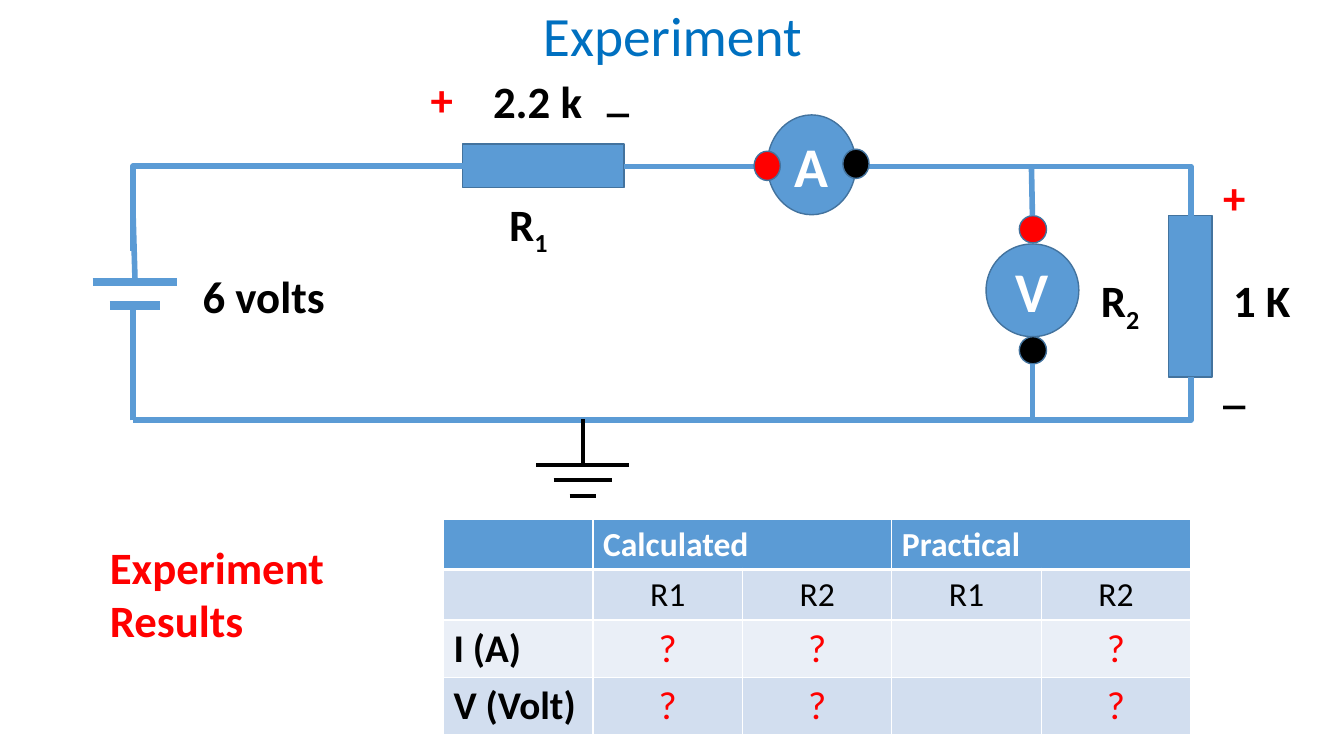
from lxml import etree
from pptx import Presentation
from pptx.dml.color import RGBColor
from pptx.enum.shapes import MSO_CONNECTOR, MSO_SHAPE
from pptx.enum.text import MSO_ANCHOR, PP_ALIGN
from pptx.oxml.ns import qn
from pptx.util import Inches, Pt

STRAIGHT, ELBOW = MSO_CONNECTOR.STRAIGHT, MSO_CONNECTOR.ELBOW
RECT, OVAL = MSO_SHAPE.RECTANGLE, MSO_SHAPE.OVAL
LEFT, CENTER = PP_ALIGN.LEFT, PP_ALIGN.CENTER
MIDDLE = MSO_ANCHOR.MIDDLE
BLUE, EDGE, RED, BLACK, WHITE = "5B9BD5", "43739E", "FF0000", "000000", "FFFFFF"
DARK, LIGHT = "D2DEEF", "EAEFF7"


def rgb(color):
    """Turn a hex string into a colour."""
    return RGBColor.from_string(color)


def style(para, size, color, bold=True, align=LEFT):
    """Set the font and alignment of a paragraph."""
    para.alignment = align
    font = para.font
    font.name, font.size, font.bold = "Calibri", Pt(size), bold
    font.color.rgb = rgb(color)


def label(slide, text, x, y, w, color=BLACK, sub=""):
    """Add a bold label, with an optional subscript."""
    lines = text.split("\n")
    box = slide.shapes.add_textbox(Inches(x), Inches(y), Inches(w),
                                   Inches(0.54 * len(lines)))
    frame = box.text_frame
    frame.word_wrap = True
    frame.margin_left = frame.margin_right = 0
    frame.margin_top = frame.margin_bottom = 0
    frame.text = text
    for para in frame.paragraphs:
        style(para, 32, color)
    if sub:
        run = frame.paragraphs[0].add_run()
        run.text = sub
        run._r.get_or_add_rPr().set("baseline", "-25000")


def title(slide, text):
    """Add the centred slide title."""
    box = slide.shapes.add_textbox(Inches(0.92), Inches(0.04),
                                   Inches(11.5), Inches(0.69))
    frame = box.text_frame
    frame.word_wrap = True
    frame.vertical_anchor = MIDDLE
    frame.text = text
    style(frame.paragraphs[0], 39.6, "0070C0", False, CENTER)
    frame.paragraphs[0].line_spacing = 0.9


def part(slide, kind, x, y, w, h, fill=BLUE, text=""):
    """Add a circuit part, with an optional letter."""
    shape = slide.shapes.add_shape(kind, Inches(x), Inches(y),
                                   Inches(w), Inches(h))
    shape.shadow.inherit = False
    shape.fill.solid()
    shape.fill.fore_color.rgb = rgb(fill)
    shape.line.color.rgb = rgb(EDGE)
    shape.line.width = Pt(1)
    if text:
        frame = shape.text_frame
        frame.text = text
        frame.vertical_anchor = MIDDLE
        style(frame.paragraphs[0], 40, WHITE, align=CENTER)


def wire(slide, x1, y1, x2, y2, width=4, color=BLUE, kind=STRAIGHT):
    """Add a wire; an elbow runs across first, then up or down."""
    line = slide.shapes.add_connector(kind, Inches(x1), Inches(y1),
                                      Inches(x2), Inches(y2))
    line.line.color.rgb = rgb(color)
    line.line.width = Pt(width)
    props = line._element.spPr
    etree.SubElement(props, qn("a:effectLst"))
    if kind == ELBOW:
        props.find(qn("a:prstGeom")).set("prst", "bentConnector2")


def border(cell, row):
    """Give a cell white borders, thick below the header row."""
    props = cell._tc.get_or_add_tcPr()
    thick = {0: "lnB", 1: "lnT"}.get(row)
    for side in ("lnL", "lnR", "lnT", "lnB"):
        width = Pt(3 if side == thick else 1)
        edge = etree.SubElement(props, qn("a:" + side), w=str(int(width)))
        fill = etree.SubElement(edge, qn("a:solidFill"))
        etree.SubElement(fill, qn("a:srgbClr"), val=WHITE)


def results(slide):
    """Add the table of results."""
    rows = [["", "Calculated", "", "Practical", ""],
            ["", "R1", "R2", "R1", "R2"],
            ["I (A)", "?", "?", "", "?"],
            ["V (Volt)", "?", "?", "", "?"]]
    highs = [0.5, 0.5, 0.57, 0.57]
    fills = [BLUE, DARK, LIGHT, DARK]
    table = slide.shapes.add_table(4, 5, Inches(4.4), Inches(5.15),
                                   Inches(7.41), Inches(sum(highs))).table
    for r, texts in enumerate(rows):
        table.rows[r].height = Inches(highs[r])
        for c, text in enumerate(texts):
            cell = table.cell(r, c)
            border(cell, r)
            cell.fill.solid()
            cell.fill.fore_color.rgb = rgb(fills[r])
            if not text:
                continue
            cell.text = text
            para = cell.text_frame.paragraphs[0]
            if r == 0:
                style(para, 24, WHITE)
            elif c == 0:
                style(para, 28, BLACK)
            elif r == 1:
                style(para, 24, BLACK, False, CENTER)
            else:
                style(para, 28, RED, False, CENTER)
    for c in (1, 3):
        table.cell(0, c).merge(table.cell(0, c + 1))


def circuit(slide):
    """Draw the wires, resistors, battery, ground and meters."""
    top, base, left, right = 1.65, 4.17, 1.32, 11.81
    part(slide, RECT, 4.59, 1.43, 1.6, 0.43)
    part(slide, RECT, 11.59, 2.14, 0.43, 1.6)
    wire(slide, 6.19, top, right, 2.14, kind=ELBOW)
    wire(slide, left, base, right, 3.74, kind=ELBOW)
    wire(slide, 4.59, top, left, 2.49, kind=ELBOW)

    part(slide, OVAL, 9.78, 2.42, 0.92, 0.92, text="V")
    for y, color in ((2.14, RED), (3.34, BLACK)):
        part(slide, OVAL, 10.11, y, 0.27, 0.27, color)
    wire(slide, 10.24, 2.14, 10.23, top)
    wire(slide, 10.24, base, 10.24, 3.61)

    wire(slide, 0.92, 2.8, 1.76, 2.8, 6)
    wire(slide, 1.09, 3.03, 1.59, 3.03, 6)
    wire(slide, left, base, left, 3.07)
    wire(slide, 1.34, 2.8, left, 2.12)

    mid = 5.78
    for y, half in ((4.61, 0.46), (4.76, 0.29), (4.92, 0.13)):
        wire(slide, mid - half, y, mid + half, y, 2.75, BLACK)
    wire(slide, mid, 4.61, mid, 4.16, 3, BLACK)

    part(slide, OVAL, 7.61, 1.14, 0.88, 0.99, text="A")
    for x, y, color in ((7.48, 1.5, RED), (8.36, 1.48, BLACK)):
        part(slide, OVAL, x, y, 0.26, 0.29, color)


def main():
    """Build and save the slide."""
    deck = Presentation()
    deck.slide_width, deck.slide_height = Inches(13.33), Inches(7.5)
    slide = deck.slides.add_slide(deck.slide_layouts[6])
    title(slide, "Experiment")
    circuit(slide)
    label(slide, "1 K", 12.23, 2.71, 0.67)
    label(slide, "R", 5.05, 1.95, 0.67, sub="1")
    label(slide, "R", 10.92, 2.71, 0.67, sub="2")
    label(slide, "2.2 k", 4.89, 0.73, 1)
    label(slide, "6 volts", 2.01, 2.67, 1.54)
    for x, y in ((12.13, 1.68), (4.27, 0.71)):
        label(slide, "+", x, y, 0.22, RED)
    for x, y in ((12.13, 3.56), (6.02, 0.66)):
        label(slide, "_", x, y, 0.22)
    results(slide)
    label(slide, "Experiment\nResults", 1.09, 5.35, 2.86, RED)
    deck.save("out.pptx")


main()
